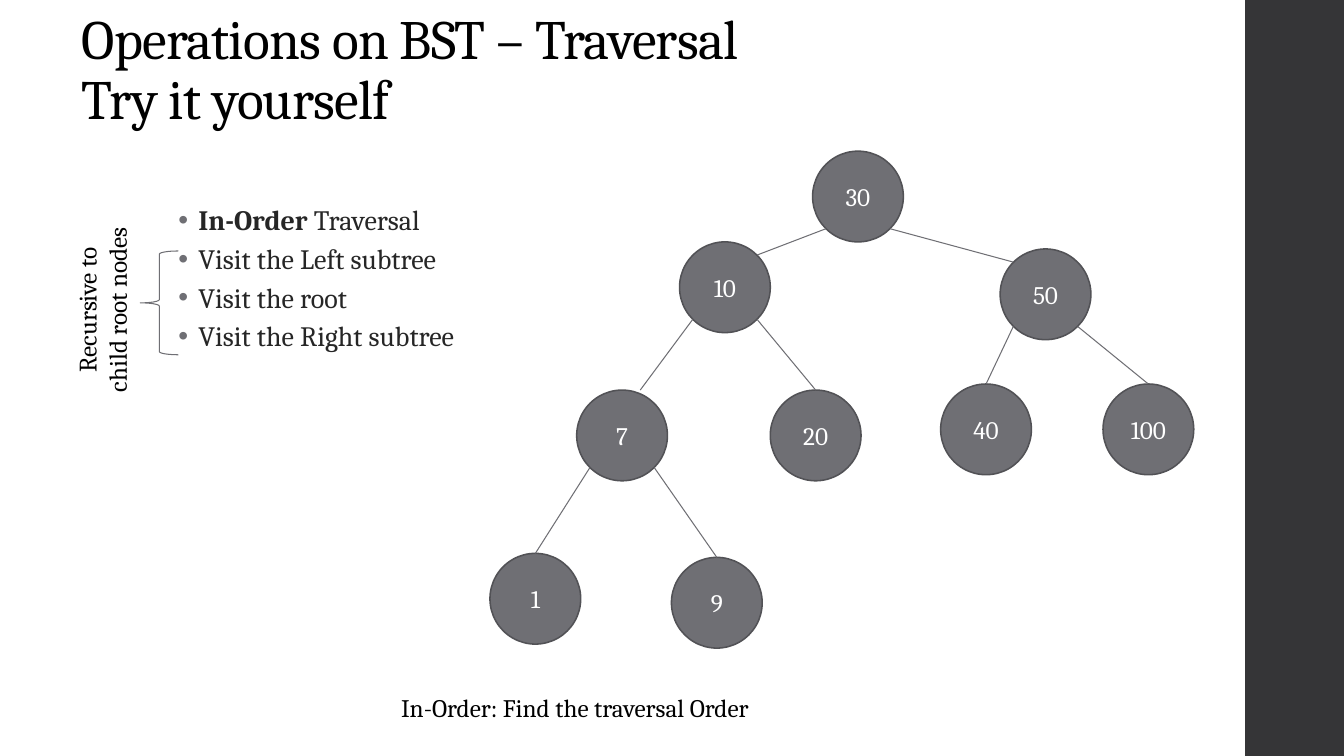
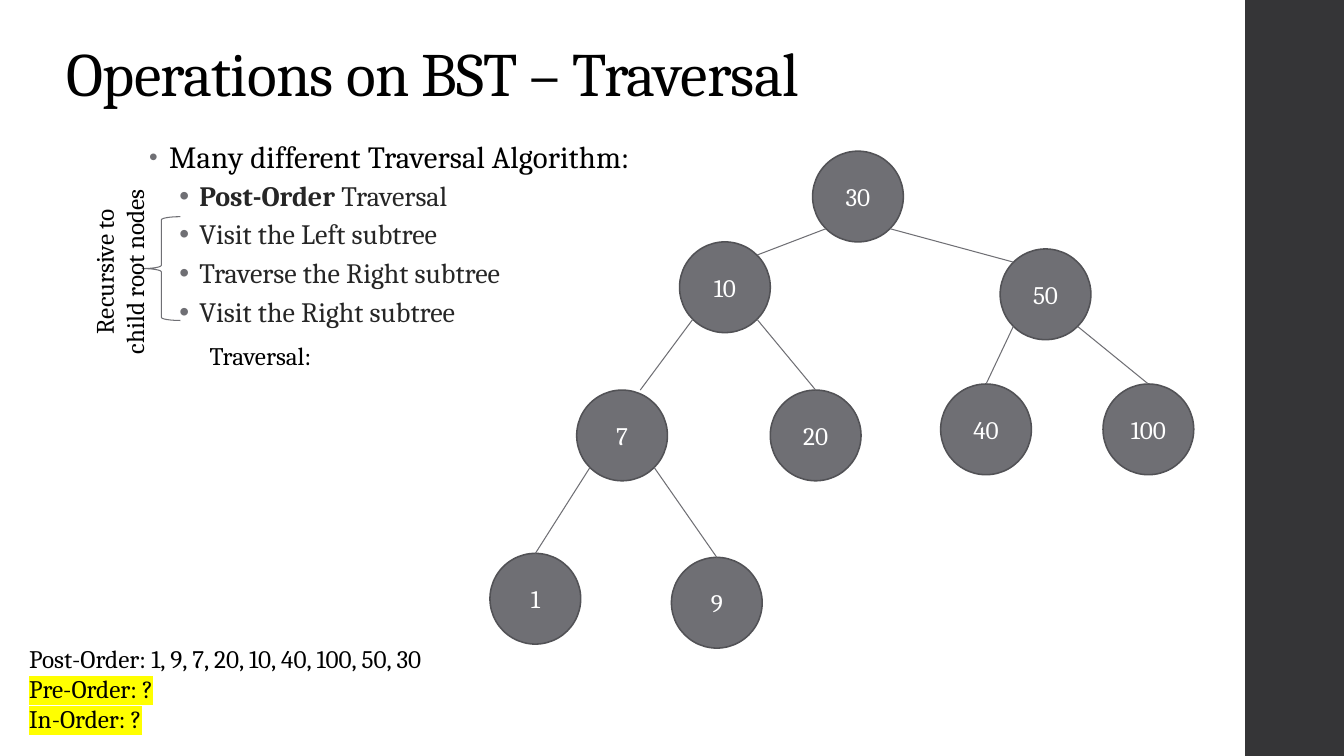
from dataclasses import dataclass

from lxml.etree import SubElement
from pptx import Presentation
from pptx.dml.color import RGBColor
from pptx.enum.shapes import MSO_CONNECTOR, MSO_SHAPE
from pptx.enum.text import MSO_ANCHOR as Anchor, MSO_AUTO_SIZE as AutoSize, PP_ALIGN as Align
from pptx.oxml.ns import qn
from pptx.util import Inches, Pt


@dataclass(frozen=True)
class Theme:
    font: str = "Cambria"
    black: str = "000000"
    white: str = "FFFFFF"
    body: str = "262626"
    grey: str = "6F6F74"
    outline: str = "525256"
    band: str = "353537"
    highlight: str = "FFFF00"
    title_size: float = 44
    long_title_size: float = 39.6
    lead_size: float = 22
    item_size: float = 20
    label_size: float = 18
    outline_width: float = 1.1
    line_width: float = 0.75


THEME = Theme()
SLIDE_WIDTH, SLIDE_HEIGHT = 13.33, 7.5
BAND_LEFT = 12.35

NODE_SIZE = 0.9
RADIUS = NODE_SIZE / 2
SHOULDER = 0.32  # offset of the 45° point on a node's rim
NODES = {  # value: left, top
    "30": (8.06, 1.5),
    "10": (6.74, 2.4),
    "50": (9.92, 2.47),
    "7": (5.72, 3.87),
    "20": (7.64, 3.87),
    "40": (9.33, 3.81),
    "100": (10.94, 3.81),
    "1": (4.86, 5.49),
    "9": (6.66, 5.53),
}
TOP = (0, -RADIUS)
EDGES = [  # parent, child, landing point relative to the child's centre
    ("30", "10", (SHOULDER, -SHOULDER)),
    ("30", "50", (-SHOULDER, -SHOULDER)),
    ("10", "7", (0.18, -RADIUS)),
    ("10", "20", TOP),
    ("50", "40", TOP),
    ("50", "100", TOP),
    ("7", "1", TOP),
    ("7", "9", TOP),
]


def rgb(color):
    return RGBColor.from_string(color)


def box(left, top, width, height):
    return [Inches(value) for value in (left, top, width, height)]


def add_bullet(paragraph, indent, size_percent):
    properties = paragraph._p.get_or_add_pPr()
    properties.set("marL", str(Inches(indent)))
    properties.set("indent", str(Inches(-0.2)))
    color = SubElement(properties, qn("a:buClr"))
    SubElement(color, qn("a:srgbClr"), val=THEME.grey)
    SubElement(properties, qn("a:buSzPct"), val=str(size_percent * 1000))
    SubElement(properties, qn("a:buFont"), typeface="Arial")
    SubElement(properties, qn("a:buChar"), char="•")


def format_run(run, size, color, bold, tracking, highlight):
    font = run.font
    font.name, font.size, font.bold = THEME.font, Pt(size), bold
    font.color.rgb = rgb(color)
    properties = run._r.get_or_add_rPr()
    if tracking:
        properties.set("spc", str(round(tracking * 100)))
    if highlight:
        mark = SubElement(properties, qn("a:highlight"))
        SubElement(mark, qn("a:srgbClr"), val=highlight)
        properties.find(qn("a:latin")).addprevious(mark)


def write(frame, text, *, size=THEME.label_size, color=THEME.black, align=Align.LEFT,
          line_spacing=None, before=0, after=0, level=0, indent=None, bullet_percent=100,
          tracking=0, highlight=None):
    """Add one paragraph; **stars** mark bold text and a newline breaks the line."""
    first = not frame.paragraphs[0].runs
    paragraph = frame.paragraphs[0] if first else frame.add_paragraph()
    paragraph.alignment, paragraph.level = align, level
    paragraph.space_before = Pt(0 if first else before)
    paragraph.space_after = Pt(after)
    if line_spacing:
        paragraph.line_spacing = line_spacing
    if indent is not None:
        add_bullet(paragraph, indent, bullet_percent)
    for piece_index, piece in enumerate(text.split("**")):
        for line_index, line in enumerate(piece.split("\n")):
            if line_index:
                paragraph.add_line_break()
            if line:
                run = paragraph.add_run()
                run.text = line
                format_run(run, size, color, piece_index % 2 == 1, tracking, highlight)


def add_text_box(slide, *place):
    shape = slide.shapes.add_textbox(*box(*place))
    shape.text_frame.word_wrap = True
    return shape


def add_label(slide, place, *lines, **text_format):
    shape = add_text_box(slide, *place)
    for line in lines:
        write(shape.text_frame, line, **text_format)
    return shape


def add_shape(slide, kind, place, fill=None, line=None, line_width=THEME.line_width):
    shape = slide.shapes.add_shape(kind, *box(*place))
    shape.shadow.inherit = False
    if fill:
        shape.fill.solid()
        shape.fill.fore_color.rgb = rgb(fill)
    else:
        shape.fill.background()
    if line:
        shape.line.color.rgb = rgb(line)
        shape.line.width = Pt(line_width)
    else:
        shape.line.fill.background()
    return shape


def move_band_to_layout(slide):
    """Draw the side band once, on the layout behind every slide."""
    band = add_shape(slide, MSO_SHAPE.RECTANGLE,
                     (BAND_LEFT, 0, SLIDE_WIDTH - BAND_LEFT, SLIDE_HEIGHT), fill=THEME.band)
    slide.slide_layout.shapes.element.insert(2, band.element)


def set_title(slide, text, left, top, size):
    title = slide.shapes.title
    title.left, title.top, title.width, title.height = box(left, top, 10.6, 0.86)
    frame = title.text_frame
    frame.auto_size, frame.word_wrap = AutoSize.NONE, True
    frame.vertical_anchor = Anchor.BOTTOM
    write(frame, text, size=size, line_spacing=0.9, tracking=-0.5)


def add_steps(slide, place, steps, lead=None):
    frame = add_text_box(slide, *place).text_frame
    if lead:
        write(frame, lead, size=THEME.lead_size, line_spacing=0.95, before=14, after=2,
              indent=0.2, bullet_percent=80, tracking=0.1)
    for step in steps:
        write(frame, step, size=THEME.item_size, color=THEME.body, line_spacing=0.9,
              before=3, after=3, level=1, indent=0.5)


def add_recursion_note(slide, brace_left, brace_top, note_left, note_top):
    add_shape(slide, MSO_SHAPE.LEFT_BRACE, (brace_left, brace_top, 0.38, 1.03), line=THEME.grey)
    note = add_label(slide, (note_left, note_top, 2.11, 0.71),
                     "Recursive to", "child root nodes", align=Align.CENTER)
    note.rotation = 270


def add_node(slide, value, left, top):
    node = add_shape(slide, MSO_SHAPE.OVAL, (left, top, NODE_SIZE, NODE_SIZE),
                     THEME.grey, THEME.outline, THEME.outline_width)
    node.text_frame.vertical_anchor = Anchor.MIDDLE
    write(node.text_frame, value, color=THEME.white, align=Align.CENTER)
    return node


def add_edge(slide, nodes, parent, child, landing):
    parent_x, parent_y = (value + RADIUS for value in NODES[parent])
    child_x, child_y = (value + RADIUS for value in NODES[child])
    side = 1 if child_x > parent_x else -1
    ends = box(parent_x + side * SHOULDER, parent_y + SHOULDER,
               child_x + landing[0], child_y + landing[1])
    edge = slide.shapes.add_connector(MSO_CONNECTOR.STRAIGHT, *ends)
    edge.line.color.rgb = rgb(THEME.grey)
    edge.line.width = Pt(THEME.line_width)
    SubElement(edge.element.spPr, qn("a:effectLst"))
    if landing == TOP:
        edge.end_connect(nodes[child], 0)


def add_tree(slide):
    nodes = {value: add_node(slide, value, *place) for value, place in NODES.items()}
    for edge in EDGES:
        add_edge(slide, nodes, *edge)


def build_in_order(slide):
    set_title(slide, "Operations on BST – Traversal\nTry it yourself",
              0.71, 0.49, THEME.long_title_size)
    add_steps(slide, (1.37, 2, 6.43, 1.88), [
        "**In-Order** Traversal",
        "Visit the Left subtree",
        "Visit the root",
        "Visit the Right subtree",
    ])
    add_tree(slide)
    add_recursion_note(slide, 1.39, 2.49, -0.04, 2.72)
    add_label(slide, (3.88, 6.82, 4.66, 0.4), "In-Order: Find the traversal Order")


def build_post_order(slide):
    set_title(slide, "Operations on BST – Traversal", 0.56, 0.28, THEME.title_size)
    add_steps(slide, (1.38, 1.34, 6.43, 5.76), [
        "**Post-Order** Traversal",
        "Visit the Left subtree",
        "Traverse the Right subtree",
        "Visit the Right subtree",
    ], lead="Many different Traversal Algorithm:")
    add_tree(slide)
    add_recursion_note(slide, 1.41, 2.15, 0.13, 2.34)
    add_label(slide, (1.98, 3.33, 6.21, 0.71), "Traversal:")
    answers = add_label(slide, (0.19, 6.33, 4.99, 1.01),
                        "Post-Order: 1, 9, 7, 20, 10, 40, 100, 50, 30")
    for question in ("Pre-Order: ?", "In-Order: ?"):
        write(answers.text_frame, question, highlight=THEME.highlight)


def main():
    presentation = Presentation()
    presentation.slide_width = Inches(SLIDE_WIDTH)
    presentation.slide_height = Inches(SLIDE_HEIGHT)
    title_only = presentation.slide_layouts[5]
    in_order, post_order = (presentation.slides.add_slide(title_only) for _ in range(2))
    move_band_to_layout(in_order)
    build_in_order(in_order)
    build_post_order(post_order)
    presentation.save("out.pptx")


if __name__ == "__main__":
    main()
